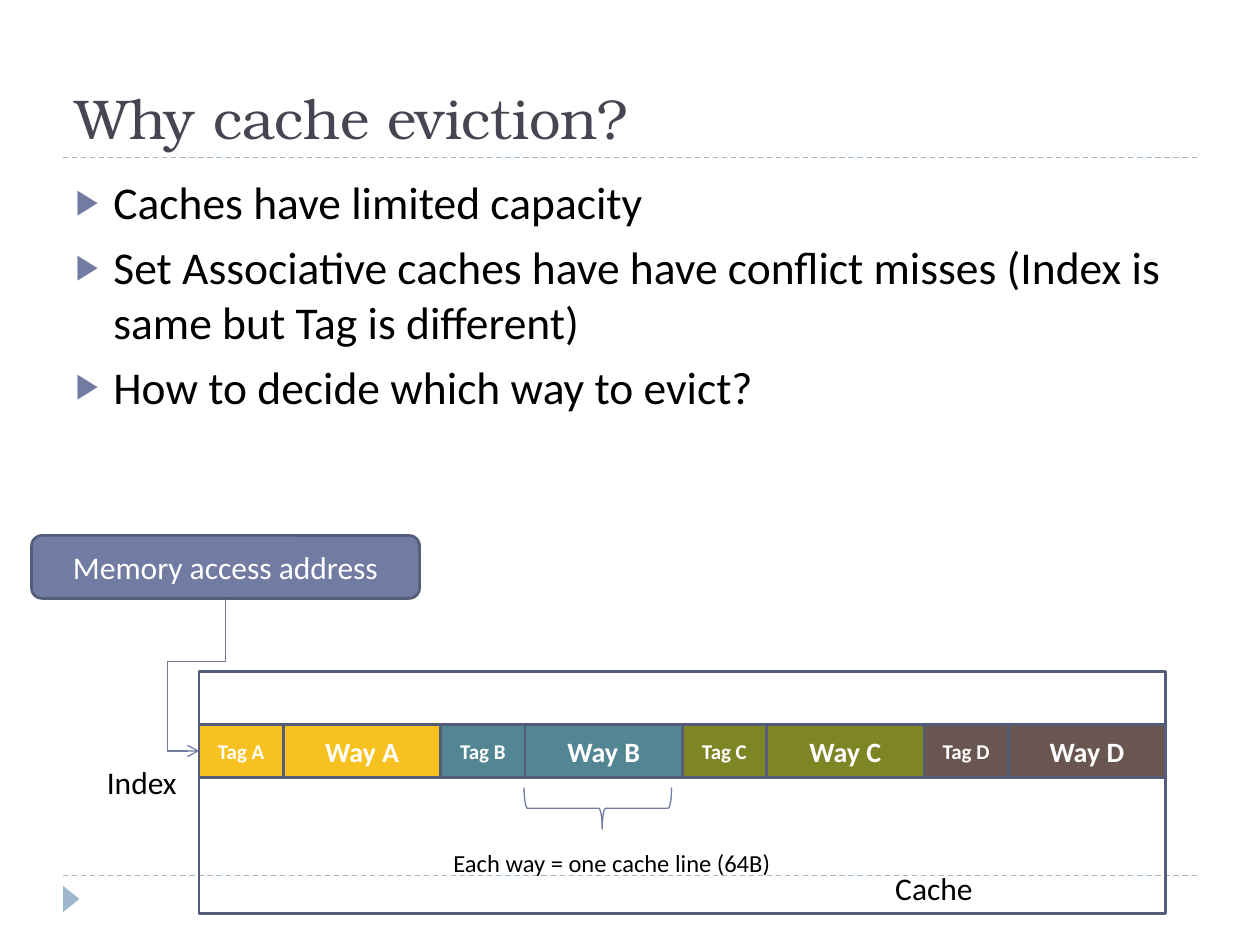
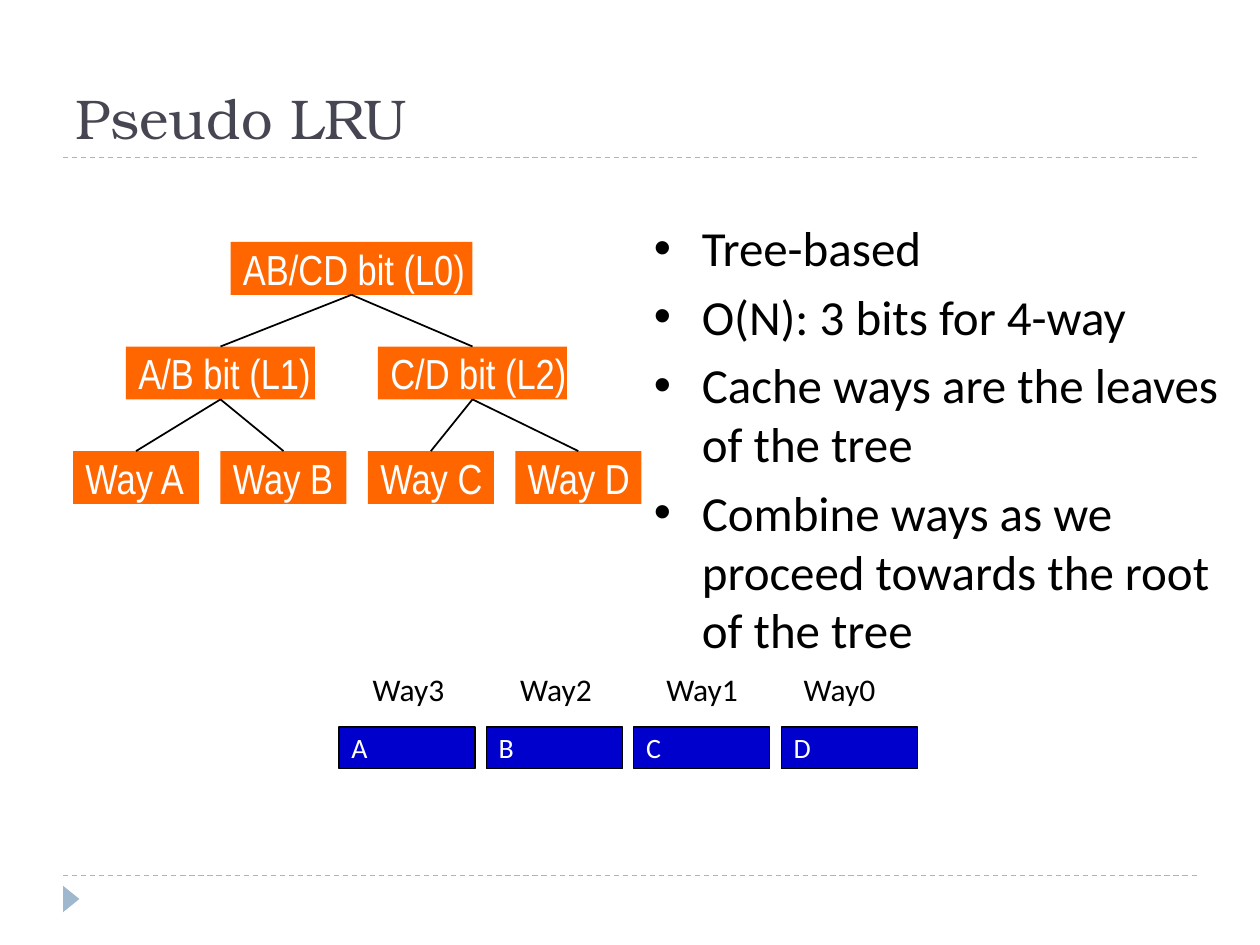
from dataclasses import dataclass

from lxml.etree import SubElement
from pptx import Presentation
from pptx.dml.color import RGBColor as RGB
from pptx.enum.dml import MSO_LINE_DASH_STYLE as Dash
from pptx.enum.shapes import MSO_AUTO_SHAPE_TYPE as Preset, MSO_CONNECTOR_TYPE as Link
from pptx.enum.text import MSO_ANCHOR as Anchor, MSO_AUTO_SIZE as AutoSize, PP_ALIGN as Align
from pptx.oxml.ns import qn
from pptx.util import Inches, Pt


@dataclass(frozen=True)
class Theme:
    """Colours, fonts and type sizes shared by the slides."""
    title_color: str = "464653"
    rule_color: str = "9FB8CD"
    accent: str = "727CA3"
    outline: str = "545C79"
    ink: str = "000000"
    paper: str = "FFFFFF"
    node: str = "FF6600"
    line_cell: str = "0000CC"
    ways: tuple = (("A", "F7C120"), ("B", "528693"), ("C", "7D8525"), ("D", "6A5650"))
    title_font: str = "TeX Gyre Bonum"
    body_font: str = "Calibri"
    node_font: str = "Arial Narrow"
    title_size: int = 32
    wide_list_size: int = 26
    side_list_size: int = 28
    node_size: int = 24
    label_size: int = 18
    way_size: int = 16
    note_size: int = 14
    tag_size: int = 12


THEME = Theme()


def apply_format(target, formats):
    """Set each named attribute of the target."""
    for name, value in formats.items():
        setattr(target, name, value)


def write(shape, lines, size, color=THEME.ink, font=THEME.body_font, bold=False,
          align=Align.LEFT, **frame_formats):
    """Fill a shape with formatted paragraphs, one for each line."""
    frame = shape.text_frame
    apply_format(frame, {"word_wrap": True, "auto_size": AutoSize.NONE, **frame_formats})
    frame.text = "\n".join(lines)
    for paragraph in frame.paragraphs:
        paragraph.alignment = align
        for run in paragraph.runs:
            apply_format(run.font, {"size": Pt(size), "name": font, "bold": bold})
            run.font.color.rgb = RGB.from_string(color)


def place(shape, box):
    """Move and size a shape in inches."""
    apply_format(shape, dict(zip(("left", "top", "width", "height"), map(Inches, box))))


def add_box(slide, box, fill=None, line=None, weight=1.5, preset=Preset.RECTANGLE):
    """Add a flat preset shape."""
    shape = slide.shapes.add_shape(preset, *map(Inches, box))
    shape.shadow.inherit = False
    if fill:
        shape.fill.solid()
        shape.fill.fore_color.rgb = RGB.from_string(fill)
    else:
        shape.fill.background()
    if line:
        shape.line.color.rgb = RGB.from_string(line)
        shape.line.width = Pt(weight)
    else:
        shape.line.fill.background()
    return shape


def add_label(slide, box, text, size, wrap=True):
    """Add a plain text box."""
    label = slide.shapes.add_textbox(*map(Inches, box))
    write(label, [text], size, word_wrap=wrap)


def add_line(slide, start, end, color, weight=0.75, kind=Link.STRAIGHT):
    """Add a connector without a shadow."""
    line = slide.shapes.add_connector(kind, *map(Inches, (*start, *end)))
    line.line.color.rgb = RGB.from_string(color)
    line.line.width = Pt(weight)
    SubElement(line._element.spPr, qn("a:effectLst"))
    return line


def join(slide, parent, child):
    """Link the bottom of a parent node to the top of its child."""
    line = add_line(slide, (0, 0), (1, 1), THEME.ink, 1)
    line.begin_connect(parent, 2)
    line.end_connect(child, 0)


def add_index_arrow(slide):
    """Route the bent arrow from the address to the cache set."""
    arrow = add_line(slide, (1.08, 5.25), (2.29, 5.46), THEME.accent, kind=Link.ELBOW)
    properties = arrow._element.spPr
    properties.find(qn("a:xfrm")).set("rot", "5400000")
    geometry = properties.find(qn("a:prstGeom"))
    geometry.set("prst", "bentConnector4")
    guides = geometry.find(qn("a:avLst"))
    if guides is None:
        guides = SubElement(geometry, qn("a:avLst"))
    for name, value in (("adj1", 41400), ("adj2", 220000)):
        SubElement(guides, qn("a:gd"), name=name, fmla=f"val {value}")
    SubElement(properties.find(qn("a:ln")), qn("a:tailEnd"), type="arrow")


def fill_list(slide, box, items, size, indent, bullet, space, bullet_color, bullet_scale):
    """Fill the body placeholder with a bulleted list."""
    body = slide.placeholders[1]
    place(body, box)
    write(body, items, size, vertical_anchor=Anchor.TOP)
    for paragraph in body.text_frame.paragraphs:
        paragraph.space_before = Pt(space)
        properties = paragraph._p.get_or_add_pPr()
        properties.set("marL", str(Inches(indent)))
        properties.set("indent", str(-Inches(indent)))
        color = SubElement(properties, qn("a:buClr"))
        SubElement(color, qn("a:srgbClr"), val=bullet_color)
        SubElement(properties, qn("a:buSzPct"), val=str(bullet_scale * 1000))
        SubElement(properties, qn("a:buChar"), char=bullet)


def add_slide(presentation, title):
    """Add a slide with the shared title, rules and corner mark."""
    slide = presentation.slides.add_slide(presentation.slide_layouts[1])
    for y in (6.95, 1.25):
        add_line(slide, (0.5, y), (9.5, y), THEME.rule_color).line.dash_style = Dash.DASH
    mark = add_box(slide, (0.46, 7.07, 0.21, 0.13), THEME.rule_color,
                   preset=Preset.ISOSCELES_TRIANGLE)
    mark.rotation = 90
    place(slide.shapes.title, (0.5, 0.17, 9, 1.08))
    write(slide.shapes.title, [title], THEME.title_size, THEME.title_color,
          THEME.title_font, vertical_anchor=Anchor.BOTTOM)
    return slide


def add_cache_set(slide, left, top, width):
    """Draw the tag and data cells of every way in one row."""
    step, tag_width, height = width / len(THEME.ways), 0.67, 0.42
    for index, (way, color) in enumerate(THEME.ways):
        x = left + index * step
        cells = (("Way", x + tag_width, step - tag_width, THEME.way_size),
                 ("Tag", x, tag_width, THEME.tag_size))
        for kind, cell_left, cell_width, size in cells:
            cell = add_box(slide, (cell_left, top, cell_width, height), color, THEME.outline)
            write(cell, [f"{kind} {way}"], size, THEME.paper, bold=True,
                  align=Align.CENTER, vertical_anchor=Anchor.MIDDLE)


def add_node(slide, left, top, width, text):
    """Add one node of the decision tree."""
    node = add_box(slide, (left, top, width, 0.42), THEME.node)
    write(node, [text], THEME.node_size, THEME.paper, THEME.node_font,
          word_wrap=False, vertical_anchor=Anchor.MIDDLE)
    return node


def add_tree(slide):
    """Draw the three decision bits above the four ways."""
    root = add_node(slide, 1.83, 1.92, 1.92, "AB/CD bit (L0)")
    bits = [add_node(slide, 1 + 2 * index, 2.75, 1.5, text)
            for index, text in enumerate(("A/B bit (L1)", "C/D bit (L2)"))]
    leaves = [add_node(slide, 0.58 + 1.17 * index, 3.58, 1, f"Way {way}")
              for index, (way, _) in enumerate(THEME.ways)]
    for bit in bits:
        join(slide, root, bit)
    for index, leaf in enumerate(leaves):
        join(slide, bits[index // 2], leaf)


def add_way_row(slide):
    """Draw the numbered cache lines with their labels."""
    label_lefts = (2.86, 4.03, 5.19, 6.28)
    for index, (way, _) in enumerate(THEME.ways):
        cell = add_box(slide, (2.69 + 1.17 * index, 5.77, 1.08, 0.33),
                       THEME.line_cell, THEME.ink, 0.75)
        write(cell, [way], THEME.way_size, THEME.paper,
              word_wrap=False, vertical_anchor=Anchor.MIDDLE)
        add_label(slide, (label_lefts[index], 5.27, 0.84, 0.4), f"Way{3 - index}",
                  THEME.label_size, wrap=False)


def build_eviction_slide(presentation):
    """Build the slide on the need for eviction."""
    slide = add_slide(presentation, "Why cache eviction?")
    fill_list(slide, (0.5, 1.33, 9, 5.4), [
        "Caches have limited capacity",
        "Set Associative caches have have conflict misses (Index is same but Tag is different)",
        "How to decide which way to evict?",
    ], THEME.wide_list_size, 0.3, "▶", 6, THEME.accent, 76)
    address = add_box(slide, (0.25, 4.25, 3.08, 0.5), THEME.accent, THEME.outline,
                      preset=Preset.ROUNDED_RECTANGLE)
    write(address, ["Memory access address"], THEME.label_size, THEME.paper,
          align=Align.CENTER, vertical_anchor=Anchor.MIDDLE)
    cache = add_box(slide, (1.58, 5.33, 7.67, 1.92), line=THEME.outline)
    write(cache, ["Cache"], THEME.label_size, align=Align.RIGHT,
          vertical_anchor=Anchor.BOTTOM, margin_right=Inches(1.53))
    add_cache_set(slide, 1.58, 5.75, 7.67)
    add_index_arrow(slide)
    add_label(slide, (0.75, 6.01, 0.83, 0.4), "Index", THEME.label_size)
    brace = add_box(slide, (4.58, 5.83, 0.33, 1.17), line=THEME.accent, weight=0.75,
                    preset=Preset.LEFT_BRACE)
    brace.rotation = 270
    brace.adjustments[1] = 0.53
    add_label(slide, (3.5, 6.68, 2.75, 0.34), "Each way = one cache line (64B)",
              THEME.note_size)


def build_pseudo_lru_slide(presentation):
    """Build the slide on tree-based replacement."""
    slide = add_slide(presentation, "Pseudo LRU")
    add_tree(slide)
    add_way_row(slide)
    fill_list(slide, (5.09, 1.68, 4.75, 3.65), [
        "Tree-based",
        "O(N): 3 bits for 4-way",
        "Cache ways are the leaves of the tree",
        "Combine ways as we proceed towards the root of the tree",
    ], THEME.side_list_size, 0.38, "•", 5.5, THEME.ink, 100)


def main():
    """Build and save the presentation."""
    presentation = Presentation()
    apply_format(presentation, {"slide_width": Inches(10), "slide_height": Inches(7.5)})
    build_eviction_slide(presentation)
    build_pseudo_lru_slide(presentation)
    presentation.save("out.pptx")


if __name__ == "__main__":
    main()
